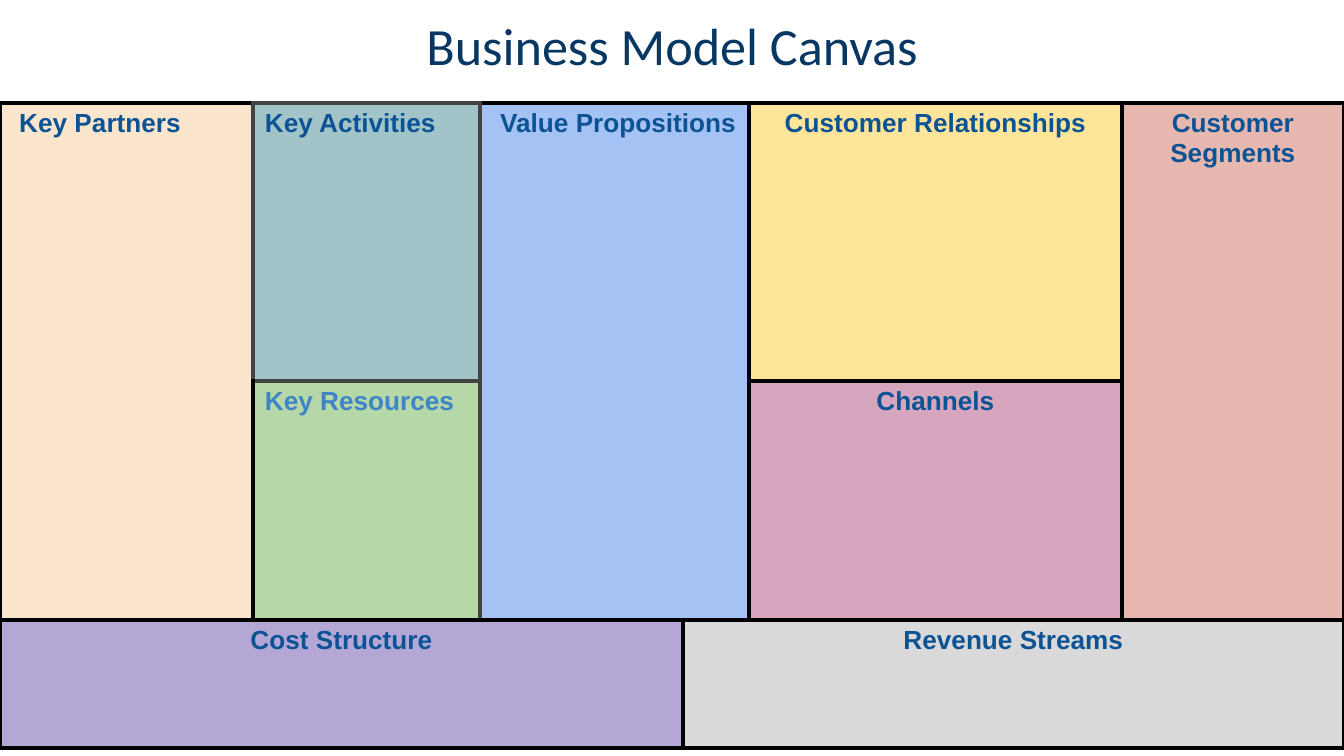
from lxml import etree
from pptx import Presentation, util as u
from pptx.dml.color import RGBColor
from pptx.enum import text
from pptx.oxml.ns import qn

PX = 914400 / 134.4
NAVY = RGBColor(0x07, 0x37, 0x63)
BLUE = RGBColor(0x0B, 0x53, 0x94)
LIGHT_BLUE = RGBColor(0x3D, 0x85, 0xC6)
BLACK = RGBColor(0, 0, 0)
GREY = RGBColor(0x43, 0x43, 0x43)
PEACH = RGBColor(0xFC, 0xE5, 0xCD)
TEAL = RGBColor(0xA2, 0xC4, 0xC9)
SKY = RGBColor(0xA4, 0xC2, 0xF4)
YELLOW = RGBColor(0xFF, 0xE5, 0x99)
ROSE = RGBColor(0xE6, 0xB8, 0xAF)
GREEN = RGBColor(0xB6, 0xD7, 0xA8)
PINK = RGBColor(0xD5, 0xA6, 0xBD)
VIOLET = RGBColor(0xB4, 0xA7, 0xD6)
SILVER = RGBColor(0xD9, 0xD9, 0xD9)
LEFT, CENTER = text.PP_ALIGN.LEFT, text.PP_ALIGN.CENTER

TITLE = "Business Model Canvas"
COLUMNS = (253, 227, 203, 66, 373, 222)
ROWS = (278, 239, 128)
# label, row, column, rows spanned, columns spanned, fill, font colour, alignment, grey sides
BLOCKS = [
    (" Key Partners", 0, 0, 2, 1, PEACH, BLUE, LEFT, "R"),
    ("Key Activities", 0, 1, 1, 1, TEAL, BLUE, LEFT, "LRTB"),
    (" Value Propositions", 0, 2, 2, 2, SKY, BLUE, CENTER, "L"),
    ("Customer Relationships", 0, 4, 1, 1, YELLOW, BLUE, CENTER, ""),
    ("Customer Segments", 0, 5, 2, 1, ROSE, BLUE, CENTER, ""),
    ("Key Resources", 1, 1, 1, 1, GREEN, LIGHT_BLUE, LEFT, "RT"),
    ("Channels", 1, 4, 1, 1, PINK, BLUE, CENTER, ""),
    ("Cost Structure", 2, 0, 1, 3, VIOLET, BLUE, CENTER, ""),
    ("Revenue Streams", 2, 3, 1, 3, SILVER, BLUE, CENTER, ""),
]


def px(length):
    return u.Emu(round(length * PX))


def style(paragraph, name, size, color, align):
    paragraph.alignment = align
    paragraph.font.name = name
    paragraph.font.size = u.Pt(size)
    paragraph.font.color.rgb = color


def add_border(cell, side, color):
    line = etree.SubElement(cell._tc.get_or_add_tcPr(), qn("a:ln" + side), w=str(u.Pt(2.25)))
    fill = etree.SubElement(line, qn("a:solidFill"))
    etree.SubElement(fill, qn("a:srgbClr"), val=str(color))


deck = Presentation()
deck.slide_width, deck.slide_height = px(1344), px(756)
page = deck.slides.add_slide(deck.slide_layouts[6])

# Title
box = page.shapes.add_textbox(px(46), 0, px(1252), px(85))
frame = box.text_frame
frame.word_wrap = True
frame.margin_left = frame.margin_right = frame.margin_top = frame.margin_bottom = px(13)
frame.text = TITLE
style(frame.paragraphs[0], "Calibri", 28, NAVY, CENTER)

# Canvas grid
table = page.shapes.add_table(len(ROWS), len(COLUMNS), 0, px(103),
                              px(sum(COLUMNS)), px(sum(ROWS))).table
table.first_row = table.horz_banding = False
for column, width in zip(table.columns, COLUMNS):
    column.width = px(width)
for row, height in zip(table.rows, ROWS):
    row.height = px(height)

# Blocks, each with borders along its outer edges
for label, top, left, high, wide, fill, color, align, grey in BLOCKS:
    bottom, right = top + high - 1, left + wide - 1
    block = table.cell(top, left)
    if high * wide > 1:
        block.merge(table.cell(bottom, right))
    for r in range(top, bottom + 1):
        for c in range(left, right + 1):
            cell = table.cell(r, c)
            outer = {"L": c == left, "R": c == right, "T": r == top, "B": r == bottom}
            for side in outer:
                if outer[side] or cell is block or (r, c) == (top, left):
                    add_border(cell, side, GREY if side in grey else BLACK)
            cell.fill.solid()
            cell.fill.fore_color.rgb = fill
    block.margin_left = block.margin_right = px(12)
    block.margin_top = block.margin_bottom = px(6)
    block.text = label
    paragraph = block.text_frame.paragraphs[0]
    style(paragraph, "Arial", 14, color, align)
    paragraph.font.bold = True

deck.save("out.pptx")
